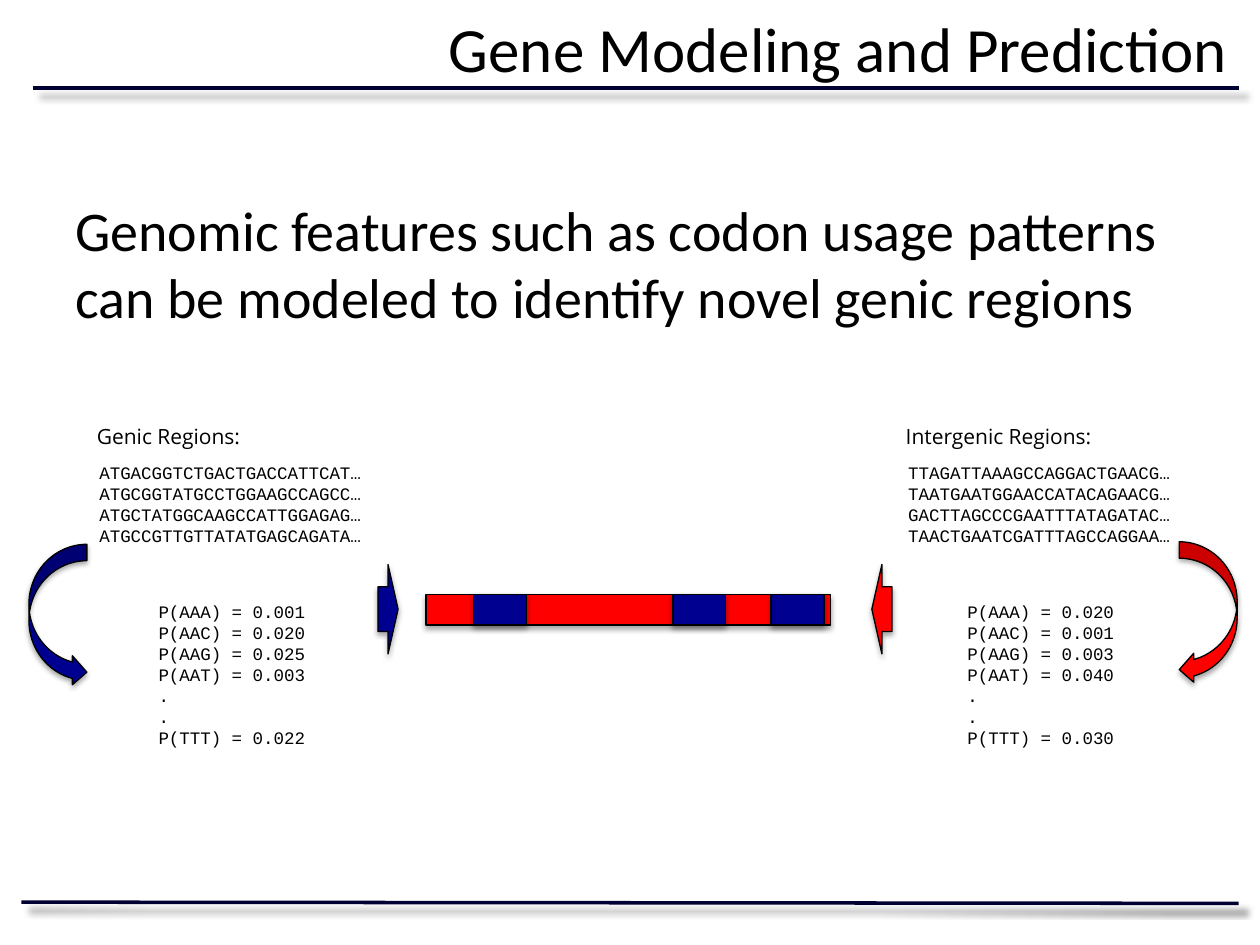
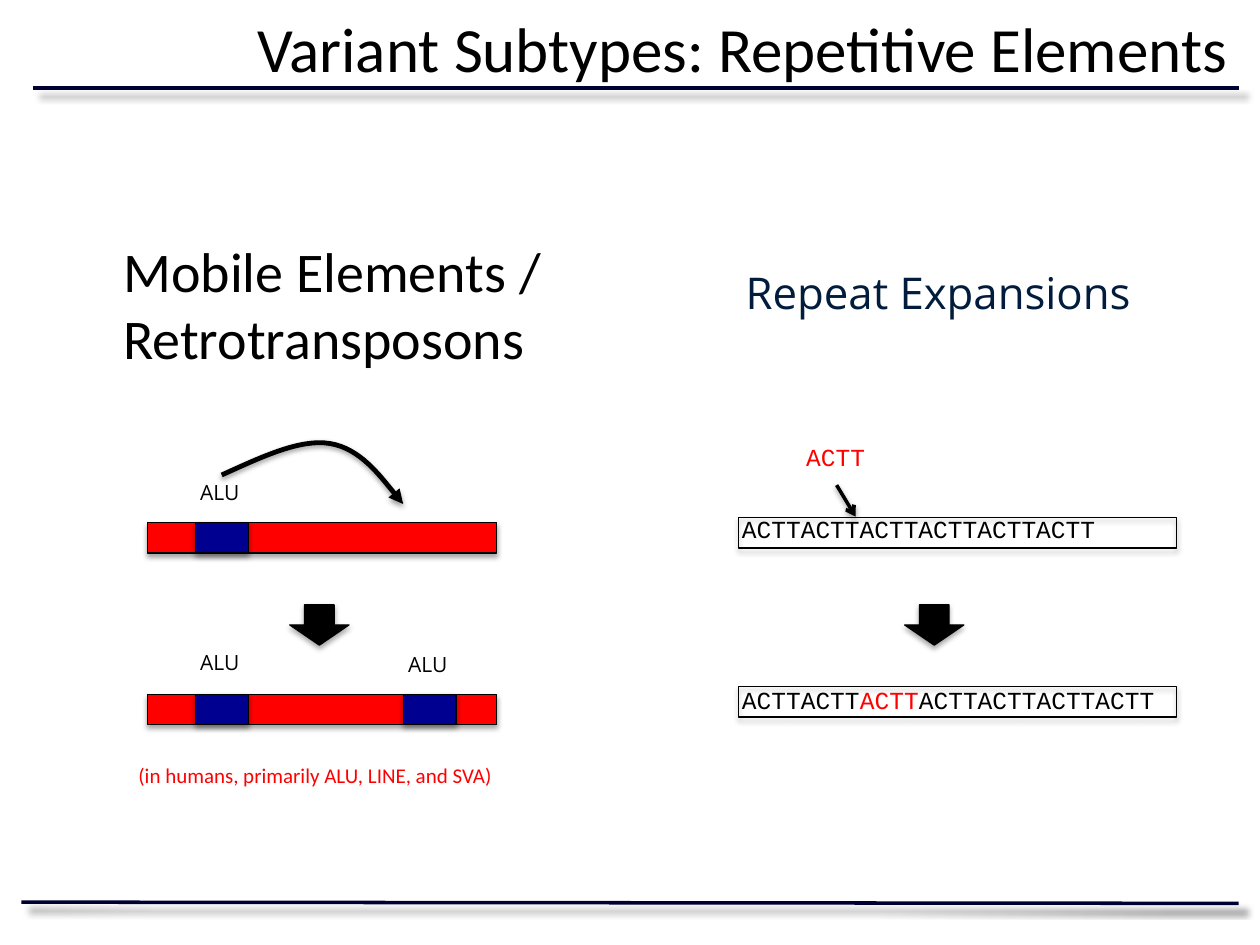
from lxml.etree import SubElement
from pptx import Presentation
from pptx.dml.color import RGBColor
from pptx.enum.shapes import MSO_CONNECTOR, MSO_SHAPE
from pptx.enum.text import MSO_ANCHOR, PP_ALIGN
from pptx.oxml.ns import qn
from pptx.util import Inches, Pt

rgb = RGBColor.from_string
BLACK, RED, BLUE, NAVY, INK = "000000", "FF0000", "000090", "000033", "011C3C"
BODY, LABEL, CODE = "Calibri", "Open Sans", "Courier New"
RULE_SHADOW = (50, 4, 6, 45)
SHAPE_SHADOW = (35, 3.1, 1.8, 90)
ARROW_SHADOW = (38, 3.1, 1.6, 90)


def add_text(s, x, y, w, h, lines, font, size, color=BLACK, wrap=False):
    sp = s.shapes.add_textbox(Inches(x), Inches(y), Inches(w), Inches(h))
    tf = sp.text_frame
    tf.word_wrap = wrap
    tf.text = lines
    for p in tf.paragraphs:
        for r in p.runs:
            r.font.name = font
            r.font.size = Pt(size)
            r.font.color.rgb = rgb(color)
    return tf


def outline(sp, color, width, shadow, tail=None):
    sp.line.color.rgb = rgb(color)
    sp.line.width = Pt(width)
    spPr = sp._element.spPr
    if tail:
        SubElement(spPr.find(qn("a:ln")), qn("a:tailEnd"), type=tail)
    alpha, blur, dist, angle = shadow
    effects = SubElement(spPr, qn("a:effectLst"))
    outer = SubElement(effects, qn("a:outerShdw"), blurRad=str(Pt(blur)), dist=str(Pt(dist)),
                       dir=str(angle * 60000), algn="ctr", rotWithShape="0")
    clr = SubElement(outer, qn("a:srgbClr"), val=BLACK)
    SubElement(clr, qn("a:alpha"), val=str(alpha * 1000))


prs = Presentation()
prs.slide_width = Inches(10)
prs.slide_height = Inches(7.5)

slides = []
for title in ("Gene Modeling and Prediction", "Variant Subtypes: Repetitive Elements"):
    s = prs.slides.add_slide(prs.slide_layouts[6])
    for x1, y1, y2 in ((0.26, 0.7, 0.7), (0.17, 7.16, 7.17)):
        rule = s.shapes.add_connector(MSO_CONNECTOR.STRAIGHT, Inches(x1), Inches(y1),
                                      Inches(9.83), Inches(y2))
        outline(rule, NAVY, 2, RULE_SHADOW)
    tf = add_text(s, 1.17, 0, 8.67, 0.75, title, BODY, 36, wrap=True)
    tf.vertical_anchor = MSO_ANCHOR.MIDDLE
    tf.paragraphs[0].alignment = PP_ALIGN.RIGHT
    slides.append(s)
genes, variants = slides

add_text(genes, 0.5, 1.5, 9, 1.44,
         "Genomic features such as codon usage patterns can be modeled to identify novel genic regions",
         BODY, 32, wrap=True)

regions = [
    (0.67, "Genic Regions:", 1.41,
     ["ATGACGGTCTGACTGACCATTCAT…", "ATGCGGTATGCCTGGAAGCCAGCC…",
      "ATGCTATGGCAAGCCATTGGAGAG…", "ATGCCGTTGTTATATGAGCAGATA…"],
     ["0.001", "0.020", "0.025", "0.003", "0.022"]),
    (7.09, "Intergenic Regions:", 1.77,
     ["TTAGATTAAAGCCAGGACTGAACG…", "TAATGAATGGAACCATACAGAACG…",
      "GACTTAGCCCGAATTTATAGATAC…", "TAACTGAATCGATTTAGCCAGGAA…"],
     ["0.020", "0.001", "0.003", "0.040", "0.030"]),
]
codons = ["AAA", "AAC", "AAG", "AAT", "TTT"]
for x, label, w, sequences, values in regions:
    odds = [f"P({codon}) = {value}" for codon, value in zip(codons, values)]
    odds[4:4] = [".", "."]
    add_text(genes, x + 0.02, 3.62, 2.31, 1.11, "\n".join(sequences), CODE, 10)
    add_text(genes, x, 3.31, w, 0.3, label, LABEL, 12)
    add_text(genes, x + 0.49, 4.72, 1.38, 1.28, "\n".join(odds), CODE, 10)

add_text(variants, 0.88, 1.83, 3.98, 1.29, "Mobile Elements / Retrotransposons", BODY, 32, wrap=True)
add_text(variants, 5.82, 2.06, 3.98, 2.01, "Repeat Expansions", LABEL, 25, INK, wrap=True)

CURVED, RIGHT = MSO_SHAPE.CURVED_RIGHT_ARROW, MSO_SHAPE.RIGHT_ARROW
DOWN, RECT = MSO_SHAPE.DOWN_ARROW, MSO_SHAPE.RECTANGLE
shapes = [
    (genes, CURVED, 0.23, 4.32, 0.46, 1.13, BLUE, False),
    (genes, CURVED, 9.36, 4.3, 0.46, 1.13, RED, True),
    (genes, RIGHT, 3, 4.48, 0.16, 0.71, BLUE, False),
    (genes, RIGHT, 6.92, 4.48, 0.16, 0.71, RED, True),
]
bars = [
    (genes, 3.38, 4.72, 3.21, RED, (3.76, 5.34, 6.12)),
    (variants, 1.17, 4.15, 2.77, RED, (1.55,)),
    (variants, 1.17, 5.51, 2.77, RED, (1.55, 3.2)),
    (variants, 5.86, 4.11, 3.48, None, ()),
    (variants, 5.86, 5.45, 3.48, None, ()),
]
for s, x, y, w, fill, elements in bars:
    shapes.append((s, RECT, x, y, w, 0.24, fill, False))
    shapes += [(s, RECT, left, y, 0.42, 0.24, BLUE, False) for left in elements]
shapes += [(variants, DOWN, x, 4.8, 0.47, 0.32, BLACK, False) for x in (2.3, 7.18)]

for s, kind, x, y, w, h, fill, flip in shapes:
    sp = s.shapes.add_shape(kind, Inches(x), Inches(y), Inches(w), Inches(h))
    if kind == CURVED:
        for i, value in enumerate((0.284, 0.5, 0.25)):
            sp.adjustments[i] = value
    if flip:
        sp._element.spPr.xfrm.set("flipH", "1")
    if fill:
        sp.fill.solid()
        sp.fill.fore_color.rgb = rgb(fill)
    else:
        sp.fill.background()
    outline(sp, BLACK, 0.75, SHAPE_SHADOW)

for x, y in ((1.49, 3.76), (1.49, 5.11), (3.14, 5.12)):
    add_text(variants, x, y, 0.52, 0.3, "ALU", LABEL, 12)

builder = variants.shapes.build_freeform(176, 377, scale=Inches(0.01))
builder.add_line_segments([(262, 352), (320, 400)], close=False)
jump = builder.convert_to_shape()
jump.fill.background()
outline(jump, BLACK, 2.75, ARROW_SHADOW, "triangle")
curve = jump._element.spPr.find(".//" + qn("a:path"))
for segment in curve.findall(qn("a:lnTo")):
    curve.remove(segment)
for points in (((207, 363), (238, 348), (262, 352)), ((286, 356), (310, 388), (320, 400))):
    bezier = SubElement(curve, qn("a:cubicBezTo"))
    for x, y in points:
        SubElement(bezier, qn("a:pt"), x=str(x - 176), y=str(y - 352))

add_text(variants, 5.79, 4.03, 3.02, 0.34, "ACTT" * 6, CODE, 14, wrap=True)
add_text(variants, 6.3, 3.46, 0.67, 0.34, "ACTT", CODE, 14, RED)
insertion = variants.shapes.add_connector(MSO_CONNECTOR.STRAIGHT, Inches(6.64), Inches(3.85),
                                          Inches(6.79), Inches(4.1))
outline(insertion, BLACK, 2, ARROW_SHADOW, "arrow")

p = add_text(variants, 5.79, 5.39, 3.55, 0.34, "", CODE, 14, wrap=True).paragraphs[0]
for text, color in (("ACTT" * 2, BLACK), ("ACTT", RED), ("ACTT" * 4, BLACK)):
    r = p.add_run()
    r.text = text
    r.font.name = CODE
    r.font.size = Pt(14)
    r.font.color.rgb = rgb(color)

add_text(variants, 1, 6, 3.05, 0.3, "(in humans, primarily ALU, LINE, and SVA)", BODY, 12, RED)

prs.save("out.pptx")
